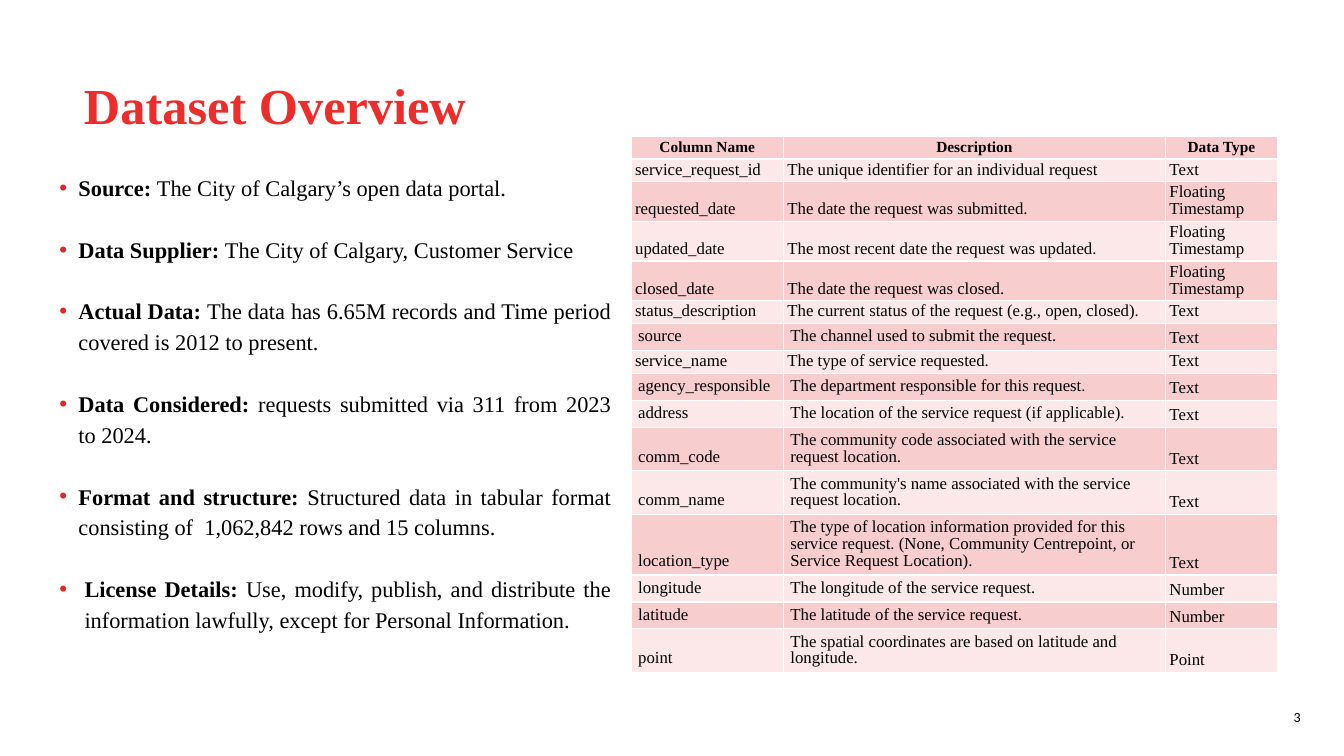
from lxml.etree import SubElement
from pptx import Presentation
from pptx.dml.color import RGBColor
from pptx.enum.text import MSO_ANCHOR, PP_ALIGN
from pptx.oxml.ns import qn
from pptx.util import Inches, Pt

SERIF = "Times New Roman"
BLACK = "000000"
WHITE = "FFFFFF"
TITLE_RED = "EE2C2A"
BULLET_RED = "E32726"
ROW_TINTS = ("F8CDCD", "FCE8E8")
TIGHT = (0.04, 0.03)
ROOMY = (0.07, 0.05)
COLUMN_WIDTHS = (1.51, 3.79, 1.11)
LINE_HEIGHT = 12 / 72

FACTS = [
    ("Source: ", "The City of Calgary’s open data portal.", 0.19),
    ("Data Supplier: ", "The City of Calgary, Customer Service", 0.19),
    ("Actual Data: ", "The data has 6.65M records and Time period covered is 2012 to present.", 0.19),
    ("Data Considered: ", "requests submitted via 311 from 2023 to 2024.", 0.19),
    ("Format and structure: ",
     "Structured data in tabular format consisting of  1,062,842 rows and 15 columns.", 0.19),
    ("License Details: ",
     "Use, modify, publish, and distribute the information lawfully, except for Personal Information.", 0.25),
]

FIELDS = [
    ("Column Name", "Description", "Data Type", TIGHT, 1),
    ("service_request_id", "The unique identifier for an individual request", "Text", TIGHT, 1),
    ("requested_date", "The date the request was submitted.", "Floating Timestamp", TIGHT, 2),
    ("updated_date", "The most recent date the request was updated.", "Floating Timestamp", TIGHT, 2),
    ("closed_date", "The date the request was closed.", "Floating Timestamp", TIGHT, 2),
    ("status_description", "The current status of the request (e.g., open, closed).", "Text", TIGHT, 1),
    ("source", "The channel used to submit the request.", "Text", ROOMY, 1),
    ("service_name", "The type of service requested.", "Text", TIGHT, 1),
    ("agency_responsible", "The department responsible for this request.", "Text", ROOMY, 1),
    ("address", "The location of the service request (if applicable).", "Text", ROOMY, 1),
    ("comm_code", "The community code associated with the service request location.", "Text", ROOMY, 2),
    ("comm_name", "The community's name associated with the service request location.", "Text", ROOMY, 2),
    ("location_type",
     "The type of location information provided for this service request. "
     "(None, Community Centrepoint, or Service Request Location).", "Text", ROOMY, 3),
    ("longitude", "The longitude of the service request.", "Number", ROOMY, 1),
    ("latitude", "The latitude of the service request.", "Number", ROOMY, 1),
    ("point", "The spatial coordinates are based on latitude and longitude.", "Point", ROOMY, 2),
]


def color(hex_code):
    return RGBColor.from_string(hex_code)


def format_font(font, size, hex_code=BLACK, bold=False, face=SERIF):
    font.name = face
    font.size = Pt(size)
    font.bold = bold
    font.color.rgb = color(hex_code)


def add_frame(slide, left, top, width, height):
    box = slide.shapes.add_textbox(Inches(left), Inches(top), Inches(width), Inches(height))
    box.text_frame.word_wrap = True
    return box.text_frame


def add_title(slide):
    title = add_frame(slide, 0.61, 0.51, 10.64, 1.13)
    title.vertical_anchor = MSO_ANCHOR.MIDDLE
    title.text = " Dataset Overview"
    heading = title.paragraphs[0]
    heading.line_spacing = Pt(38)
    format_font(heading.runs[0].font, 36, TITLE_RED, bold=True)


def add_bullet(paragraph, indent):
    properties = paragraph._p.get_or_add_pPr()
    properties.set("marL", str(Inches(indent)))
    properties.set("indent", str(-Inches(indent)))
    bullet_color = SubElement(properties, qn("a:buClr"))
    SubElement(bullet_color, qn("a:srgbClr"), val=BULLET_RED)
    SubElement(properties, qn("a:buFont"), typeface="Arial")
    SubElement(properties, qn("a:buChar"), char="•")


def add_facts(slide):
    facts = add_frame(slide, 0.49, 1.64, 5.67, 4.54)
    for index, (label, detail, indent) in enumerate(FACTS):
        fact = facts.add_paragraph() if index else facts.paragraphs[0]
        fact.alignment = PP_ALIGN.JUSTIFY
        fact.line_spacing = 1.15
        fact.space_after = Pt(22)
        add_bullet(fact, indent)
        for text, bold in ((label, True), (detail, False)):
            run = fact.add_run()
            run.text = text
            format_font(run.font, 16, bold=bold)


def add_borders(cell):
    properties = cell._tc.get_or_add_tcPr()
    for index, side in enumerate(("a:lnL", "a:lnR", "a:lnT", "a:lnB")):
        border = properties.makeelement(qn(side), {"w": str(Pt(1))})
        properties.insert(index, border)
        fill = SubElement(border, qn("a:solidFill"))
        SubElement(fill, qn("a:srgbClr"), val=WHITE)


def fill_cell(cell, text, inset, tint, is_header):
    cell.margin_left = cell.margin_right = Inches(inset[0])
    cell.margin_top = cell.margin_bottom = Inches(inset[1])
    cell.vertical_anchor = MSO_ANCHOR.BOTTOM
    cell.fill.solid()
    cell.fill.fore_color.rgb = color(tint)
    add_borders(cell)
    cell.text_frame.text = text
    entry = cell.text_frame.paragraphs[0]
    entry.line_spacing = Pt(12)
    entry.alignment = PP_ALIGN.CENTER if is_header else PP_ALIGN.LEFT
    format_font(entry.runs[0].font, 11 if is_header else 12, bold=is_header)


def add_field_table(slide):
    fields = slide.shapes.add_table(
        len(FIELDS), len(COLUMN_WIDTHS), Inches(6.26), Inches(1.35), Inches(6.42), Inches(5.31)
    ).table
    for column, width in zip(fields.columns, COLUMN_WIDTHS):
        column.width = Inches(width)
    for index, (name, description, data_type, inset, lines) in enumerate(FIELDS):
        fields.rows[index].height = Inches(lines * LINE_HEIGHT + 2 * inset[1])
        entries = ((name, inset), (description, inset), (data_type, TIGHT))
        for column, (text, cell_inset) in enumerate(entries):
            fill_cell(fields.cell(index, column), text, cell_inset, ROW_TINTS[index % 2], index == 0)


def add_page_number(slide):
    page_number = add_frame(slide, 10, 6.98, 3, 0.4)
    page_number.text = "3"
    number = page_number.paragraphs[0]
    number.alignment = PP_ALIGN.RIGHT
    format_font(number.runs[0].font, 10, face="Calibri")


def main():
    presentation = Presentation()
    presentation.slide_width = Inches(13.33)
    presentation.slide_height = Inches(7.5)
    slide = presentation.slides.add_slide(presentation.slide_layouts[6])
    add_title(slide)
    add_facts(slide)
    add_page_number(slide)
    add_field_table(slide)
    presentation.save("out.pptx")


if __name__ == "__main__":
    main()
